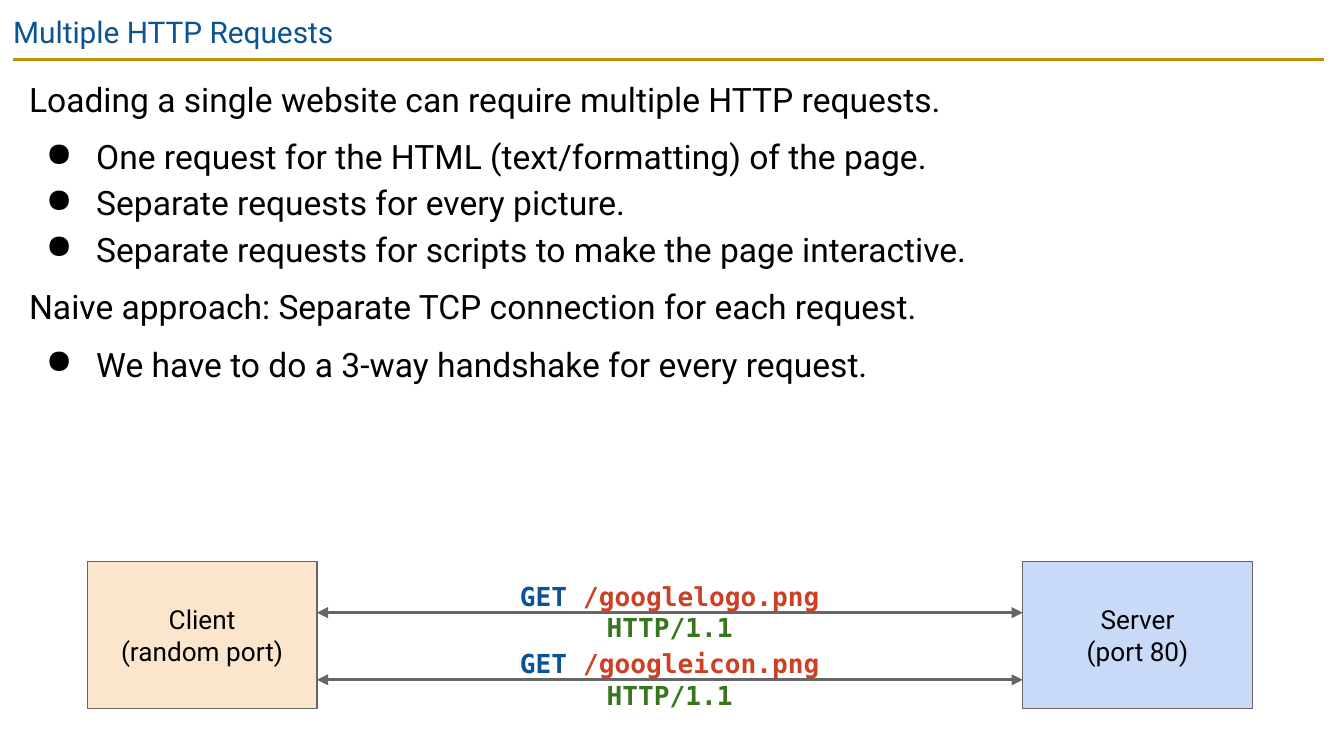
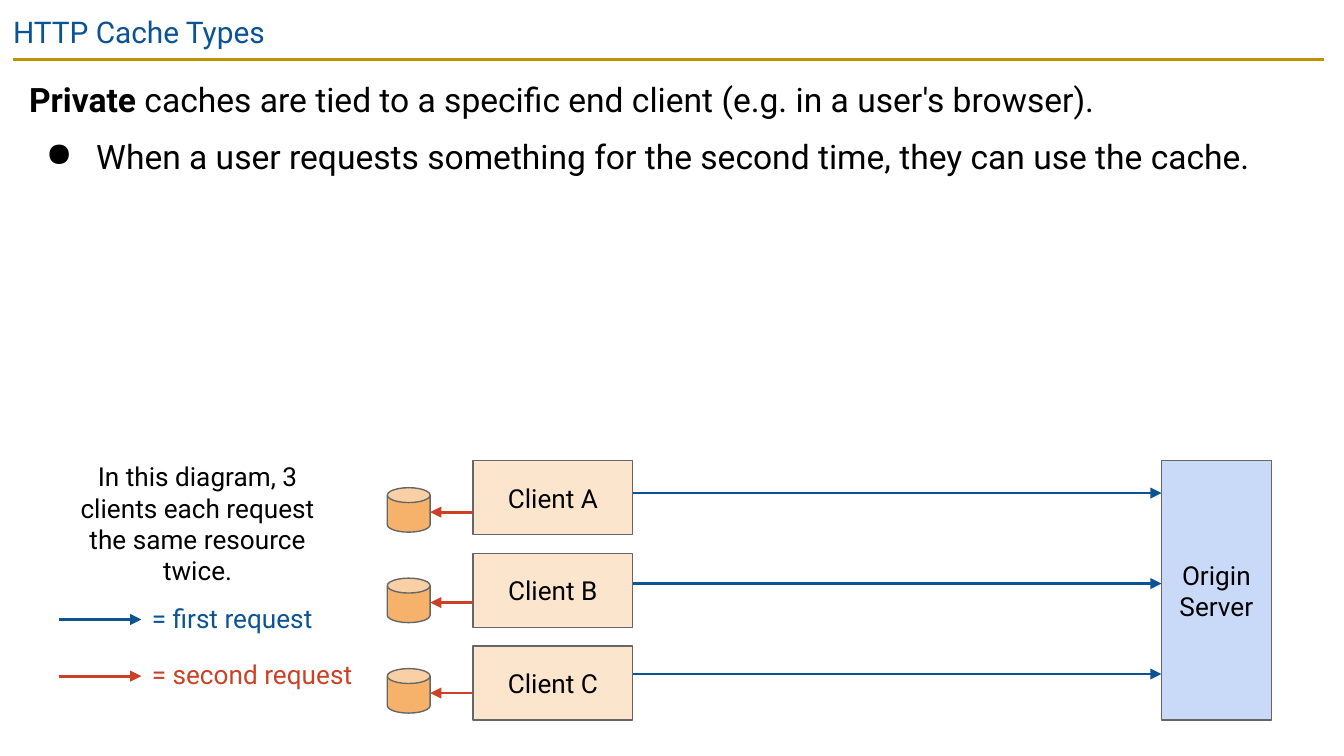
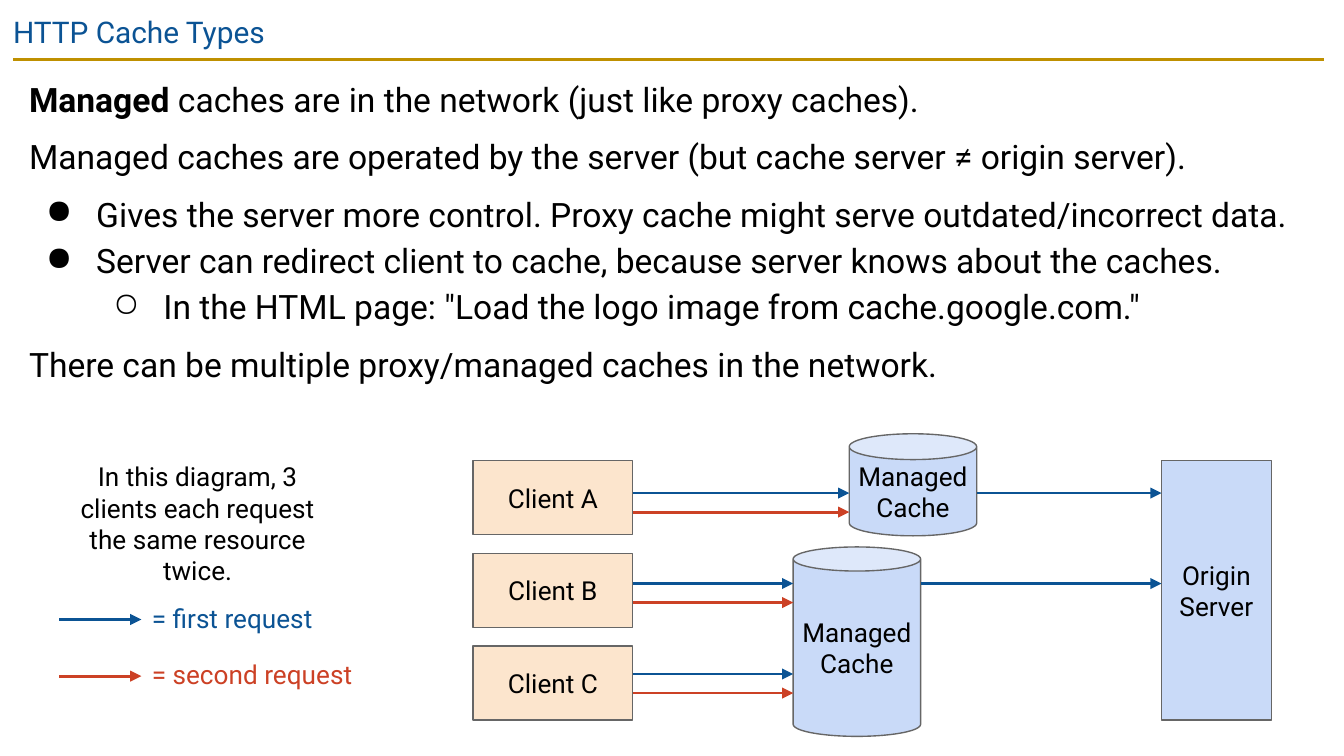
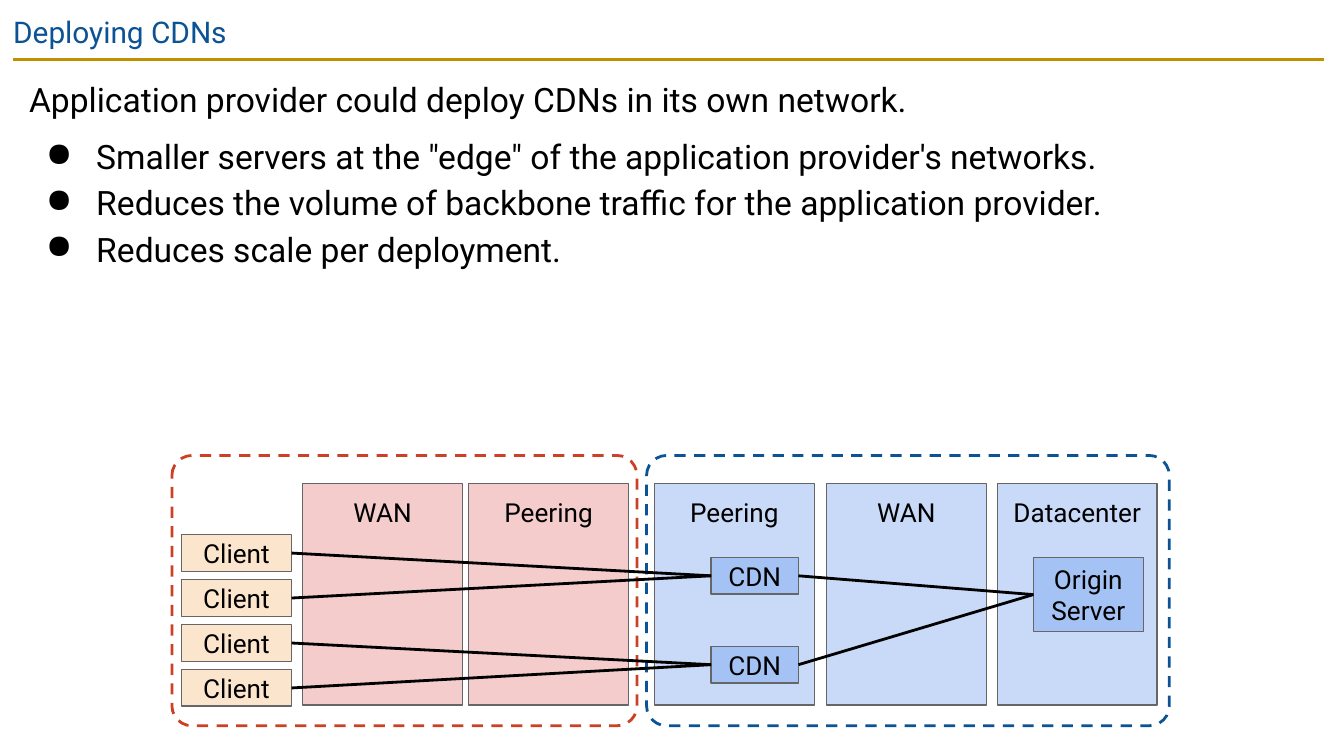
from lxml import etree
from pptx import Presentation
from pptx.dml.color import RGBColor
from pptx.enum import dml, shapes, text
from pptx.oxml import ns
from pptx.util import Cm, Pt

NAVY = RGBColor(0x0B, 0x53, 0x94)
GOLD = RGBColor(0xBF, 0x90, 0x00)
RED = RGBColor(0xCC, 0x41, 0x25)
GREEN = RGBColor(0x38, 0x76, 0x1D)
GRAY = RGBColor(0x66, 0x66, 0x66)
BLACK = RGBColor(0x00, 0x00, 0x00)
PEACH = RGBColor(0xFC, 0xE5, 0xCD)
ORANGE = RGBColor(0xF6, 0xB2, 0x6B)
PINK = RGBColor(0xF4, 0xCC, 0xCC)
PALE = RGBColor(0xC9, 0xDA, 0xF8)
SKY = RGBColor(0xA4, 0xC2, 0xF4)

SANS = "Roboto"
MONO = "DejaVu Sans Mono"
KIND = shapes.MSO_SHAPE
CENTER = text.PP_ALIGN.CENTER
LEFT, RIGHT = 1, 3  # connection sites of a rectangle
BULLETS = {1: "●", 2: "○"}

# Places shared by the two cache diagrams, in cm
CLIENT_X, CLIENT_W, CLIENT_H = 8.94, 3.02, 1.4
CLIENT_END = CLIENT_X + CLIENT_W
ORIGIN_X = 21.95
TOP = 8.71
FIRST = [9.32 + 1.71 * i for i in range(3)]
GAP = 0.36  # from a first request down to its second


def write(para, words, size=14, color=BLACK, face=SANS, bold=False, align=None):
    """Fill a paragraph; words is a string or a list of (string, format) runs."""
    para.alignment = align
    base = dict(size=size, color=color, face=face, bold=bold)
    for part, own in [(words, {})] if isinstance(words, str) else words:
        form = {**base, **own}
        for i, line in enumerate(part.split("\n")):
            if i:
                para.add_line_break()
            run = para.add_run()
            run.text = line
            run.font.size = Pt(form["size"])
            run.font.name = form["face"]
            run.font.bold = form["bold"]
            run.font.color.rgb = form["color"]


def pad(frame, inset):
    frame.word_wrap = True
    frame.margin_left = frame.margin_right = Cm(inset)
    frame.margin_top = frame.margin_bottom = Cm(inset)


def label(slide, x, y, w, h, words, inset=0, grow=True, **form):
    frame = slide.shapes.add_textbox(Cm(x), Cm(y), Cm(w), Cm(h)).text_frame
    pad(frame, inset)
    if grow:
        frame.auto_size = text.MSO_AUTO_SIZE.SHAPE_TO_FIT_TEXT
    write(frame.paragraphs[0], words, **form)
    return frame


def shape(slide, x, y, w, h, fill=None, words="", kind=KIND.RECTANGLE, adj=None,
          line=GRAY, width=0.75, dash=None, inset=0.25, top=False):
    item = slide.shapes.add_shape(kind, Cm(x), Cm(y), Cm(w), Cm(h))
    item.shadow.inherit = False
    if adj is not None:
        item.adjustments[0] = adj
    if fill is None:
        item.fill.background()
    else:
        item.fill.solid()
        item.fill.fore_color.rgb = fill
    item.line.color.rgb = line
    item.line.width = Pt(width)
    if dash:
        item.line.dash_style = dash
    if words:
        frame = item.text_frame
        pad(frame, inset)
        anchor = text.MSO_ANCHOR
        frame.vertical_anchor = anchor.TOP if top else anchor.MIDDLE
        write(frame.paragraphs[0], words, align=CENTER)
    return item


def line(slide, x1, y1, x2, y2, color, ends=()):
    """Draw a line; ends names the arrowheads, headEnd before tailEnd."""
    item = slide.shapes.add_connector(
        shapes.MSO_CONNECTOR.STRAIGHT, Cm(x1), Cm(y1), Cm(x2), Cm(y2))
    item.line.color.rgb = color
    item.line.width = Pt(1.5)
    for end in ends:
        etree.SubElement(item.line._get_or_add_ln(), ns.qn("a:" + end), type="triangle")
    etree.SubElement(item._element.spPr, ns.qn("a:effectLst"))
    return item


def arrow(slide, x1, x2, y, color):
    line(slide, x1, y, x2, y, color, ["tailEnd"])


def link(slide, start, end):
    """Join the right side of one box to the left side of another."""
    item = line(slide, 0, 0, 1, 1, BLACK)
    item.begin_connect(start, RIGHT)
    item.end_connect(end, LEFT)


def indent(para, level):
    props = para._p.get_or_add_pPr()
    props.set("marL", str(Cm(1.27 * level)))
    props.set("indent", str(Cm(-0.95)))
    color = etree.SubElement(props, ns.qn("a:buClr"))
    etree.SubElement(color, ns.qn("a:srgbClr"), val=str(BLACK))
    etree.SubElement(props, ns.qn("a:buChar"), char=BULLETS[level])
    para.level = level - 1


def start(deck, title, height, rows):
    """Add a slide with its title, rule and body; rows are (level, words)."""
    slide = deck.slides.add_slide(deck.slide_layouts[6])
    line(slide, 0.25, 1.12, 25.02, 1.12, GOLD)
    label(slide, 0, 0, 25.4, 1.09, title, inset=0.25, grow=False, size=16, color=NAVY)
    box = slide.shapes.add_textbox(Cm(0.3), Cm(1.12), Cm(24.74), Cm(height))
    frame = box.text_frame
    pad(frame, 0.25)
    last = None
    for level, words in rows:
        para = frame.paragraphs[0] if last is None else frame.add_paragraph()
        if level:
            indent(para, level)
        para.line_spacing = 1.15
        spaced = last is not None and 0 in (level, last)
        para.space_before = Pt(6 if spaced else 0)
        write(para, words, size=18)
        last = level
    return slide


def lead(head, rest):
    return [(head, {"bold": True}), (rest, {})]


def actors(slide):
    """Draw the clients, the origin server and the legend."""
    for i, name in enumerate("ABC"):
        shape(slide, CLIENT_X, TOP + 1.75 * i, CLIENT_W, CLIENT_H, PEACH, "Client " + name)
    shape(slide, ORIGIN_X, TOP, 2.08, 4.9, PALE, "Origin Server")
    label(slide, 1.12, TOP, 5.23, 1.8,
          "In this diagram, 3 clients each request the same resource twice.", align=CENTER)
    for y, w, name, color in [(11.71, 3.25, "first", NAVY), (12.78, 4.04, "second", RED)]:
        arrow(slide, 1.12, 2.67, y, color)
        label(slide, 2.87, y - 0.33, w, 0.61, f"= {name} request", color=color)


def requests(deck):
    slide = start(deck, "Multiple HTTP Requests", 7.39, [
        (0, "Loading a single website can require multiple HTTP requests."),
        (1, "One request for the HTML (text/formatting) of the page."),
        (1, "Separate requests for every picture."),
        (1, "Separate requests for scripts to make the page interactive."),
        (0, "Naive approach: Separate TCP connection for each request."),
        (1, "We have to do a 3-way handshake for every request."),
    ])
    left, right, w = 1.65, 19.33, 4.34
    shape(slide, left, 10.62, w, 2.77, PEACH, "Client\n(random port)")
    shape(slide, right, 10.62, w, 2.77, PALE, "Server\n(port 80)")
    for y, file in [(11.58, "/googlelogo.png "), (12.85, "/googleicon.png ")]:
        line(slide, left + w, y, right, y, GRAY, ["headEnd", "tailEnd"])
        words = [("GET ", {"color": NAVY}), (file, {"color": RED}),
                 ("HTTP/1.1", {"color": GREEN})]
        label(slide, 8.66, y - 0.61, 8, 0.61, words, face=MONO, bold=True, align=CENTER)


def private(deck):
    slide = start(deck, "HTTP Cache Types", 4.9, [
        (0, lead("Private", " caches are tied to a specific end client "
                 "(e.g. in a user's browser).")),
        (1, "When a user requests something for the second time, they can use the cache."),
    ])
    actors(slide)
    can_x, can_w = 7.32, 0.81
    for y in FIRST:
        arrow(slide, CLIENT_END, ORIGIN_X, y, NAVY)
        arrow(slide, CLIENT_X, can_x + can_w, y + GAP, RED)
        shape(slide, can_x, y - 0.1, can_w, 0.84, ORANGE, kind=KIND.CAN, adj=0.347)


def managed(deck):
    slide = start(deck, "HTTP Cache Types", 6.68, [
        (0, lead("Managed ", "caches are in the network (just like proxy caches).")),
        (0, "Managed caches are operated by the server (but cache server ≠ origin server)."),
        (1, "Gives the server more control. Proxy cache might serve outdated/incorrect data."),
        (1, "Server can redirect client to cache, because server knows about the caches."),
        (2, "In the HTML page: \"Load the logo image from cache.google.com.\""),
        (0, "There can be multiple proxy/managed caches in the network."),
    ])
    actors(slide)
    can_w = 2.41
    caches = [(16.05, 8.2, 1.93, 0.253, FIRST[:1]), (14.99, 10.34, 3.58, 0.189, FIRST[1:])]
    for x, y, h, adj, rows in caches:
        shape(slide, x, y, can_w, h, PALE, "Managed Cache", kind=KIND.CAN, adj=adj, inset=0)
        for row in rows:
            arrow(slide, CLIENT_END, x, row, NAVY)
            arrow(slide, CLIENT_END, x, row + GAP, RED)
        arrow(slide, x + can_w, ORIGIN_X, rows[0], NAVY)


def deploy(deck):
    slide = start(deck, "Deploying CDNs", 6.78, [
        (0, "Application provider could deploy CDNs in its own network."),
        (1, "Smaller servers at the \"edge\" of the application provider's networks."),
        (1, "Reduces the volume of backbone traffic for the application provider."),
        (1, "Reduces scale per deployment."),
    ])
    for x, w, color in [(12.22, 9.88, NAVY), (3.25, 8.79, RED)]:
        shape(slide, x, 8.61, w, 5.11, kind=KIND.ROUNDED_RECTANGLE, adj=0.074,
              line=color, width=1.5, dash=dml.MSO_LINE.DASH)
    zones = [(5.72, PINK, "WAN"), (8.86, PINK, "Peering"), (12.37, PALE, "Peering"),
             (15.62, PALE, "WAN"), (18.85, PALE, "Datacenter")]
    for x, fill, name in zones:
        shape(slide, x, 9.14, 3.02, 4.19, fill, name, top=True)
    origin = shape(slide, 19.53, 10.54, 2.08, 1.4, SKY, "Origin Server")
    cdns = [shape(slide, 13.44, y, 1.65, 0.69, SKY, "CDN") for y in (10.54, 12.22)]
    for i in range(4):
        client = shape(slide, 3.43, 10.11 + 0.85 * i, 2.08, 0.69, PEACH, "Client")
        link(slide, client, cdns[i // 2])
    for cdn in cdns:
        link(slide, cdn, origin)


def main():
    deck = Presentation()
    deck.slide_width, deck.slide_height = Cm(25.4), Cm(14.29)
    for build in (requests, private, managed, deploy):
        build(deck)
    deck.save("out.pptx")


if __name__ == "__main__":
    main()
